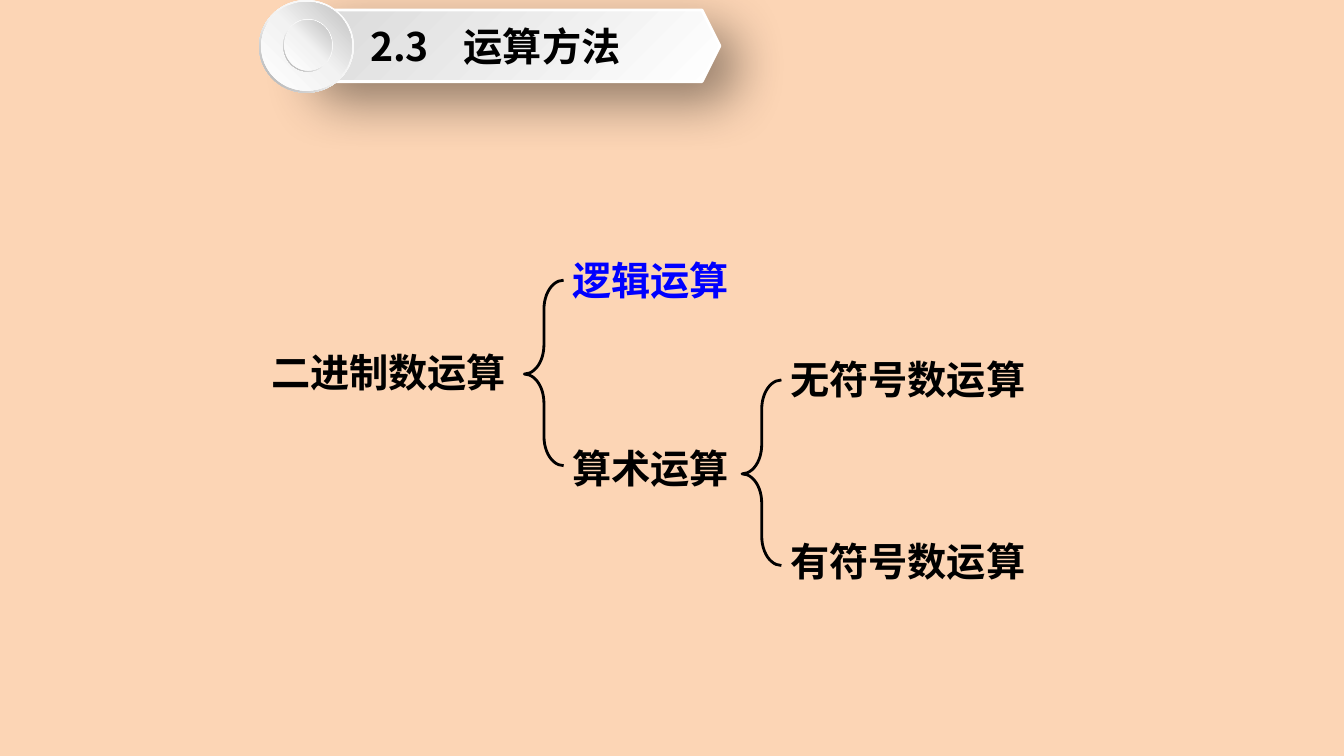
from lxml import etree
from pptx import Presentation
from pptx.dml.color import RGBColor
from pptx.enum.shapes import MSO_SHAPE
from pptx.enum.text import MSO_ANCHOR, MSO_AUTO_SIZE, PP_ALIGN
from pptx.oxml.ns import qn
from pptx.util import Emu, Inches, Pt

BLACK, BLUE, WHITE, PEACH = "000000", "0000FF", "FFFFFF", "FCD5B5"
BANNER_STOPS = [(0, WHITE), (100, "D9D9D9")]
RIM_STOPS = [(0, WHITE), (55, "F2F2F2"), (100, "A6A6A6")]
DISC_STOPS = [(0, WHITE), (51, "F2F2F2"), (100, "BFBFBF")]
HEADING_FONT, TREE_FONT = "Noto Sans CJK SC", "Times New Roman"


def color(hex_code):
    return RGBColor.from_string(hex_code)


def child(parent, tag, **attributes):
    values = {key: str(value) for key, value in attributes.items()}
    return etree.SubElement(parent, qn(tag), values)


def style_font(paragraph, name, hex_code):
    font = paragraph.font
    for key, value in {"name": name, "size": Pt(28), "bold": True}.items():
        setattr(font, key, value)
    font.color.rgb = color(hex_code)


def add_plain_shape(shapes, kind, box, adjustments=()):
    shape = shapes.add_shape(kind, *map(Inches, box))
    shape.shadow.inherit = False
    for index, value in enumerate(adjustments):
        shape.adjustments[index] = value
    return shape


def fill_gradient(shape, stops, angle):
    """Fill with (percent, colour) stops; the angle runs clockwise."""
    shape.fill.gradient()
    gradient = shape._element.spPr.find(qn("a:gradFill"))
    stop_list = gradient.find(qn("a:gsLst"))
    for stop in list(stop_list):
        stop_list.remove(stop)
    for percent, hex_code in stops:
        stop = child(stop_list, "a:gs", pos=percent * 1000)
        child(stop, "a:srgbClr", val=hex_code)
    gradient.find(qn("a:lin")).set("ang", str(angle * 60000))


def cast_shadow(shape):
    effects = shape._element.spPr.find(qn("a:effectLst"))
    shadow = child(effects, "a:outerShdw", blurRad=Pt(38), dist=Pt(19),
                   dir=45 * 60000, algn="tl", rotWithShape=0)
    tint = child(shadow, "a:srgbClr", val=BLACK)
    child(tint, "a:alpha", val=42000)


def add_button(shapes, left, top, width, height, inset):
    """A round plate: a thin rim with a disc just inside it."""
    disc_box = (left + inset, top + inset, width - 2 * inset, height - 2 * inset)
    for kind, box, stops, angle, adjustments in (
        (MSO_SHAPE.DONUT, (left, top, width, height), RIM_STOPS, 135, [0.049]),
        (MSO_SHAPE.OVAL, disc_box, DISC_STOPS, 315, []),
    ):
        part = add_plain_shape(shapes, kind, box, adjustments)
        fill_gradient(part, stops, angle)
        part.line.fill.background()


def add_banner(slide, left, top):
    # Pointed plate with its shadow, then the two round plates
    shapes = slide.shapes.add_group_shape().shapes
    plate = add_plain_shape(shapes, MSO_SHAPE.HEXAGON,
                            (left + 0.32, top + 0.1, 4.25, 0.71))
    fill_gradient(plate, BANNER_STOPS, 225)
    plate.line.color.rgb = color(WHITE)
    plate.line.width = Pt(2)
    cast_shadow(plate)
    add_button(shapes, left, top, 0.94, 0.92, 0.02)
    add_button(shapes, left + 0.24, top + 0.19, 0.49, 0.52, 0.01)

    # Slide title, brought in front of the plate
    heading = slide.shapes.title
    slide.shapes._spTree.append(heading._element)
    heading.left, heading.top = Inches(left + 1.1), Inches(top + 0.1)
    heading.width, heading.height = Inches(3.2), Inches(0.71)
    frame = heading.text_frame
    frame.text = "2.3\t运算方法"
    for key, value in {"margin_left": 0, "margin_right": 0, "margin_top": 0,
                       "margin_bottom": 0, "word_wrap": True,
                       "auto_size": MSO_AUTO_SIZE.NONE,
                       "vertical_anchor": MSO_ANCHOR.MIDDLE}.items():
        setattr(frame, key, value)
    paragraph = frame.paragraphs[0]
    paragraph.alignment = PP_ALIGN.LEFT
    tabs = child(paragraph._p.get_or_add_pPr(), "a:tabLst")
    child(tabs, "a:tab", pos=Inches(0.93), algn="l")
    style_font(paragraph, HEADING_FONT, BLACK)
    for run in paragraph.runs:
        run.font.name = HEADING_FONT
        child(run._r.get_or_add_rPr(), "a:ea", typeface=HEADING_FONT)


def add_tree(slide, left, top):
    shapes = slide.shapes.add_group_shape().shapes

    # Topics: text, offset from the tree's corner, width, colour
    for topic, x, y, width, hex_code in (
        ("二进制数运算", 0, 0.92, 2.57, BLACK),
        ("逻辑运算", 2.99, 0, 1.77, BLUE),
        ("算术运算", 2.99, 1.87, 1.77, BLACK),
        ("无符号数运算", 5.15, 0.99, 2.57, BLACK),
        ("有符号数运算", 5.15, 2.79, 2.57, BLACK),
    ):
        label = shapes.add_textbox(Inches(left + x), Inches(top + y),
                                   Inches(width), Inches(0.57))
        frame = label.text_frame
        frame.text = topic
        frame.word_wrap = False
        frame.auto_size = MSO_AUTO_SIZE.SHAPE_TO_FIT_TEXT
        style_font(frame.paragraphs[0], TREE_FONT, hex_code)

    # Braces between the levels
    for x, y in ((2.61, 0.29), (4.77, 1.28)):
        brace = add_plain_shape(shapes, MSO_SHAPE.LEFT_BRACE,
                                (left + x, top + y, 0.39, 1.84), [0.742, 0.506])
        brace.fill.background()
        brace.line.color.rgb = color(BLACK)
        brace.line.width = Pt(2)


def main():
    deck = Presentation()
    deck.slide_width, deck.slide_height = Inches(13.33), Inches(7.5)
    slide = deck.slides.add_slide(deck.slide_layouts[5])
    slide.background.fill.solid()
    slide.background.fill.fore_color.rgb = color(PEACH)
    add_banner(slide, 2.57, 0)
    add_tree(slide, 2.59, 2.49)
    deck.save("out.pptx")


if __name__ == "__main__":
    main()
